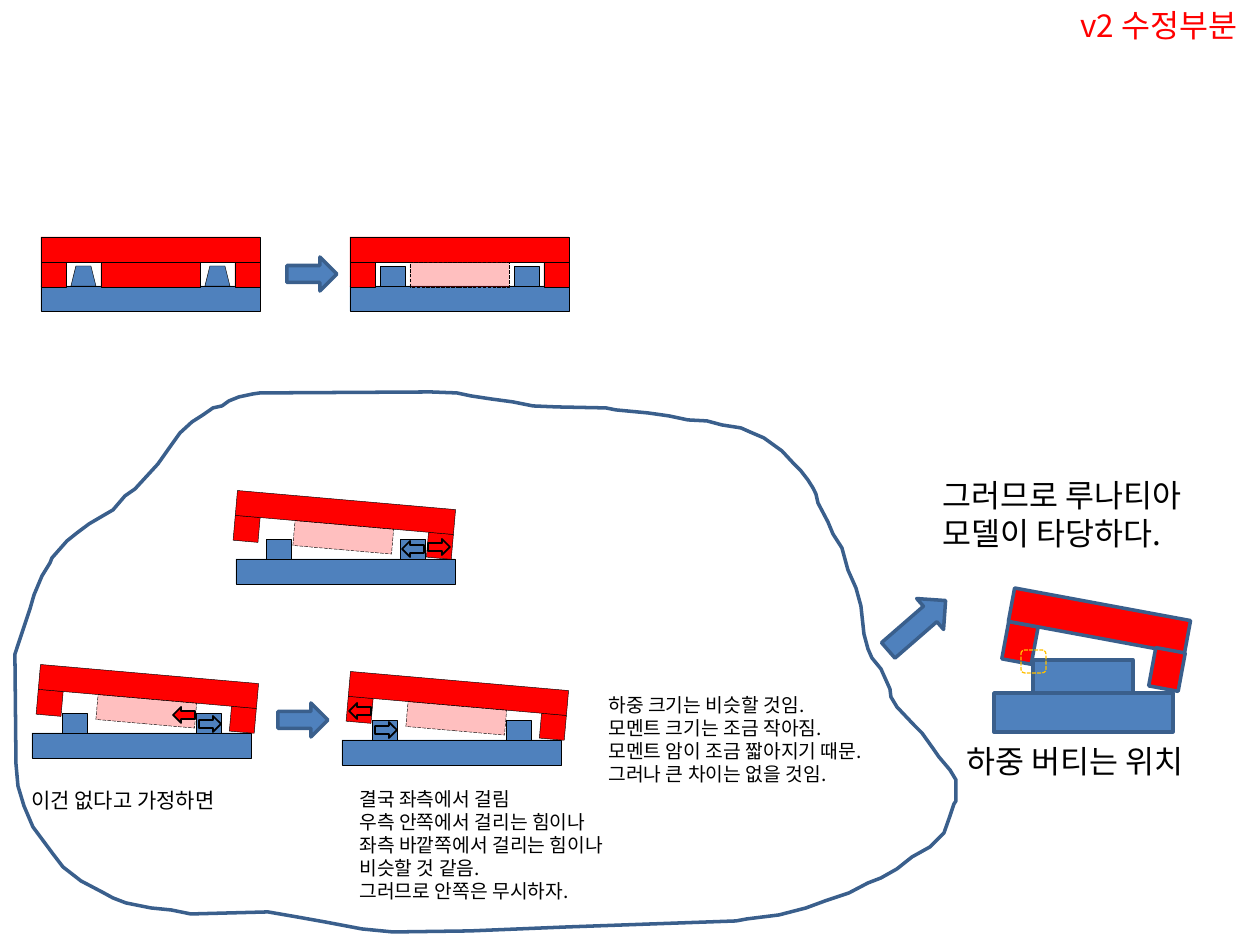
import math
from lxml import etree
from pptx import Presentation, util as u
from pptx.dml.color import RGBColor
from pptx.enum import dml, shapes, text
from pptx.oxml.ns import qn

PX = 914400 // 126
FONT = "Noto Sans CJK KR"
RED, BLUE, EDGE, BLACK, AMBER = "FF0000", "4F81BD", "3A5F8C", "000000", "FFC000"
RECT, TRAP, ARROW, ROUND = (
    shapes.MSO_SHAPE.RECTANGLE, shapes.MSO_SHAPE.TRAPEZOID,
    shapes.MSO_SHAPE.RIGHT_ARROW, shapes.MSO_SHAPE.ROUNDED_RECTANGLE)

TITLE = ((1068, 0, 197, 50), 18, RED, True, ["v2 수정부분"])
NOTES = [
    ((19, 781, 232, 38), 12, BLACK, False, ["이건 없다고 가정하면"]),
    ((347, 781, 299, 130), 11, BLACK, False, [
        "결국 좌측에서 걸림", "우측 안쪽에서 걸리는 힘이나", "좌측 바깥쪽에서 걸리는 힘이나",
        "비슷할 것 같음.", "그러므로 안쪽은 무시하자."]),
    ((930, 470, 296, 89), 18, BLACK, True, ["그러므로 루나티아 모델이 타당하다."]),
    ((954, 736, 271, 50), 18, BLACK, False, ["하중 버티는 위치"]),
    ((596, 687, 310, 106), 11, BLACK, False, [
        "하중 크기는 비슷할 것임.", "모멘트 크기는 조금 작아짐.",
        "모멘트 암이 조금 짧아지기 때문.", "그러나 큰 차이는 없을 것임."]),
]
OUTLINE = [
    (816, 494), (813, 488), (808, 480), (801, 471), (795, 465), (782, 451), (764, 438),
    (750, 432), (741, 428), (722, 425), (707, 421), (688, 420), (669, 416), (648, 413),
    (616, 410), (606, 408), (557, 407), (533, 406), (513, 402), (491, 399), (471, 396),
    (457, 393), (431, 392), (260, 393), (253, 394), (239, 397), (229, 401), (222, 406),
    (213, 408), (203, 415), (192, 422), (180, 433), (170, 447), (158, 464), (147, 476),
    (135, 489), (125, 496), (113, 510), (101, 517), (89, 524), (77, 533), (67, 541),
    (52, 558), (50, 563), (42, 576), (34, 595), (30, 609), (23, 630), (20, 639),
    (15, 654), (15, 663), (16, 764), (18, 786), (24, 806), (33, 827), (53, 854),
    (63, 867), (81, 881), (102, 892), (113, 898), (126, 903), (151, 908), (171, 910),
    (191, 914), (268, 912), (297, 917), (325, 922), (362, 929), (393, 932), (470, 931),
    (567, 927), (736, 921), (747, 919), (779, 915), (806, 908), (825, 901), (849, 893),
    (868, 883), (881, 878), (897, 869), (912, 857), (930, 847), (944, 833), (950, 816),
    (954, 804), (956, 801), (956, 780), (950, 770), (939, 757), (932, 747), (922, 733),
    (914, 725), (897, 707), (891, 697), (890, 689), (881, 669), (872, 658), (868, 649),
    (864, 634), (861, 606), (856, 588), (848, 570), (842, 548), (833, 534), (828, 522),
    (818, 503)]
# base left, base top, lid left, lid top, lid tilt, stud taper, core alpha
ASSEMBLIES = [
    (41, 286, 41, 237, 0, 0.25, None),
    (350, 286, 350, 237, 0, 0, 25),
    (236, 559, 236, 500, 5, 0, 25),
    (342, 740, 349, 681, 5, 0, 25),
    (32, 733, 39, 674, 5, 0, 25),
]
FORCES = [
    (428, 539, 0, RED), (402, 541, 180, BLUE), (375, 722, 0, BLUE),
    (349, 703, 180, RED), (199, 716, 0, BLUE), (173, 707, 180, RED)]
FLOW = [((287, 257, 50, 34), 0), ((278, 703, 50, 34), 0), ((879, 605, 76, 41), 319)]
MODEL = [
    ((1005, 624, 30, 38), 10.5, RED), ((1010, 604, 179, 34), 10.5, RED),
    ((1152, 650, 30, 39), 10.5, RED), ((1033, 660, 100, 33), 0, BLUE),
    ((994, 693, 179, 39), 0, BLUE)]
CONTACT = (1021, 650, 25, 23)


def color(value):
    return RGBColor.from_string(value)


def emu(box):
    return [round(v * PX) for v in box]


def paint(sp, fill, line, width, dash=None, alpha=None):
    sp.shadow.inherit = False
    if fill:
        sp.fill.solid()
        sp.fill.fore_color.rgb = color(fill)
    else:
        sp.fill.background()
    if alpha:
        clr = sp.fill._xPr.find(qn("a:solidFill"))[0]
        etree.SubElement(clr, qn("a:alpha")).set("val", str(alpha * 1000))
    sp.line.color.rgb = color(line)
    sp.line.width = u.Pt(width)
    if dash:
        sp.line.dash_style = dash


def add(kind, box, fill, line=BLACK, width=0.25, rot=0, adj=None, **style):
    sp = s.shapes.add_shape(kind, *emu(box))
    sp.rotation = rot
    if adj is not None:
        sp.adjustments[0] = adj
    paint(sp, fill, line, width, **style)


def write(sp, box, size, ink, wrap, lines):
    sp.left, sp.top, sp.width, sp.height = emu(box)
    tf = sp.text_frame
    tf.word_wrap = wrap
    tf.auto_size = text.MSO_AUTO_SIZE.SHAPE_TO_FIT_TEXT
    tf.vertical_anchor = text.MSO_ANCHOR.TOP
    for i, line in enumerate(lines):
        p = tf.add_paragraph() if i else tf.paragraphs[0]
        p.alignment = text.PP_ALIGN.LEFT
        r = p.add_run()
        r.text = line
        r.font.size = u.Pt(size)
        r.font.name = FONT
        r.font.color.rgb = color(ink)
        etree.SubElement(r.font._element, qn("a:ea")).set("typeface", FONT)


def assembly(x, y, lid_x, lid_y, tilt, taper, alpha):
    add(RECT, (x, y, 219, 25), BLUE)
    for dx in (30, 164):
        add(TRAP, (x + dx, y - 20, 25, 20), BLUE, adj=taper)
    cx, cy, a = lid_x + 109.5, lid_y + 12.5, math.radians(tilt)
    dash = dml.MSO_LINE.LONG_DASH if alpha else None
    for dx, dy, w, style in [
            (-97, 25, 25, {}), (97, 25, 25, {}), (0, 0, 219, {}),
            (0, 25, 99, {"dash": dash, "alpha": alpha})]:
        px = cx + dx * math.cos(a) - dy * math.sin(a)
        py = cy + dx * math.sin(a) + dy * math.cos(a)
        add(RECT, (px - w / 2, py - 12.5, w, 25), RED, rot=tilt, **style)


prs = Presentation()
prs.slide_width, prs.slide_height = u.Inches(10), u.Inches(7.5)
s = prs.slides.add_slide(prs.slide_layouts[5])
write(s.shapes.title, *TITLE)

fb = s.shapes.build_freeform(*OUTLINE[0], scale=PX)
fb.add_line_segments(OUTLINE[1:], close=True)
paint(fb.convert_to_shape(), None, EDGE, 2)

for part in ASSEMBLIES:
    assembly(*part)
for x, y, rot, fill in FORCES:
    add(ARROW, (x, y, 22, 16), fill, width=1, rot=rot)
for box, rot in FLOW:
    add(ARROW, box, BLUE, EDGE, 2, rot)
for box, rot, fill in MODEL:
    add(RECT, box, fill, EDGE, 2, rot)
add(ROUND, CONTACT, None, AMBER, 0.75, dash=dml.MSO_LINE.SQUARE_DOT)
for note in NOTES:
    write(s.shapes.add_textbox(0, 0, 0, 0), *note)

prs.save("out.pptx")
